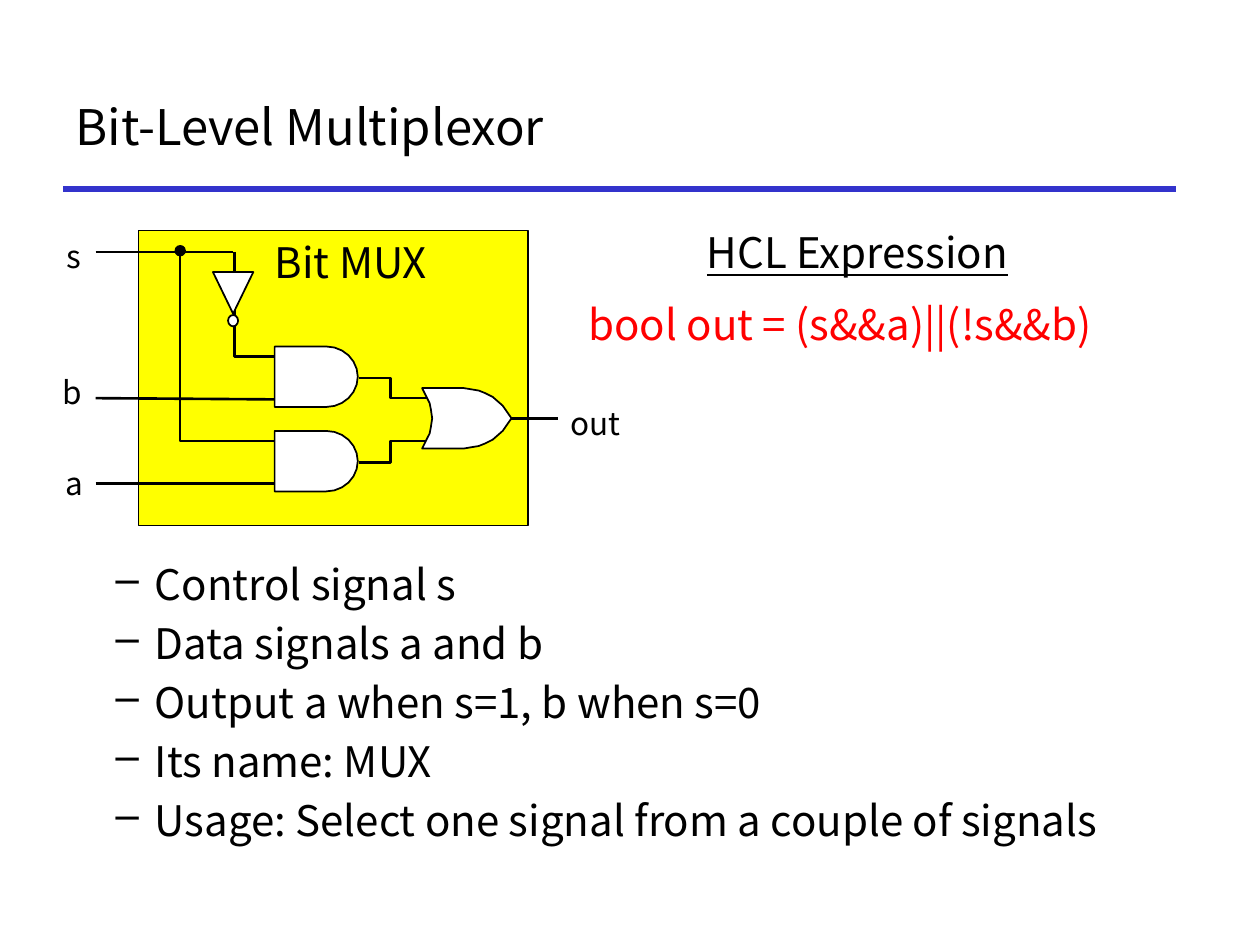
from dataclasses import dataclass
from math import cos, radians, sin

from lxml import etree
from pptx import Presentation
from pptx import util as u
from pptx.dml.color import RGBColor
from pptx.enum import shapes, text
from pptx.oxml import ns


@dataclass(frozen=True)
class Theme:
    """Colours, font and type sizes of the slide."""
    font: str = "Noto Sans CJK KR"
    black: str = "000000"
    white: str = "FFFFFF"
    yellow: str = "FFFF00"
    red: str = "FF0000"
    blue: str = "3333CC"
    title: int = 28
    body: int = 24
    label: int = 18


THEME = Theme()
BULLETS = [
    "Control signal s",
    "Data signals a and b",
    "Output a when s=1, b when s=0",
    "Its name: MUX",
    "Usage: Select one signal from a couple of signals",
]


def write(sp, lines, size=THEME.body, color=THEME.black, align="LEFT", anchor="TOP",
          left=0.1, right=0.1, wrap=True, underline=None, bullet=None):
    """Write one paragraph per line into a shape and format it."""
    tf = sp.text_frame
    tf.word_wrap = wrap
    tf.auto_size = text.MSO_AUTO_SIZE.NONE
    tf.vertical_anchor = text.MSO_ANCHOR[anchor]
    tf.margin_left, tf.margin_right = u.Inches(left), u.Inches(right)
    tf.margin_top = tf.margin_bottom = u.Inches(0.05)
    for i, line in enumerate(lines):
        p = tf.add_paragraph() if i else tf.paragraphs[0]
        p.alignment = text.PP_ALIGN[align]
        if bullet:
            p.space_before = u.Pt(5 if i else 0)
            add_bullet(p, bullet)
        r = p.add_run()
        r.text = line
        r.font.name, r.font.size = THEME.font, u.Pt(size)
        r.font.color.rgb = RGBColor.from_string(color)
        r.font.underline = underline


def add_bullet(p, char):
    """Give a paragraph a bullet character and a hanging indent."""
    pPr = p._p.get_or_add_pPr()
    pPr.set("marL", str(u.Inches(0.81)))
    pPr.set("indent", str(u.Inches(-0.31)))
    etree.SubElement(pPr, ns.qn("a:buChar")).set("char", char)


def add_text(s, x, y, w, h, lines, **fmt):
    """Add a text box."""
    sp = s.shapes.add_textbox(u.Inches(x), u.Inches(y), u.Inches(w), u.Inches(h))
    write(sp, lines, **fmt)
    return sp


def paint(sp, fill=None, width=1):
    """Set the fill and black outline of a shape, without a shadow."""
    sp.shadow.inherit = False
    if fill:
        sp.fill.solid()
        sp.fill.fore_color.rgb = RGBColor.from_string(fill)
    else:
        sp.fill.background()
    sp.line.color.rgb = RGBColor.from_string(THEME.black)
    sp.line.width = u.Pt(width)
    return sp


def add_preset(s, kind, x, y, w, h, fill, width=0.75):
    """Add a filled preset shape."""
    sp = s.shapes.add_shape(shapes.MSO_SHAPE[kind], u.Inches(x), u.Inches(y),
                            u.Inches(w), u.Inches(h))
    return paint(sp, fill, width)


def add_line(s, x1, y1, x2, y2, color=THEME.black, width=1.5):
    """Add a straight line."""
    c = s.shapes.add_connector(shapes.MSO_CONNECTOR.STRAIGHT, u.Inches(x1), u.Inches(y1),
                               u.Inches(x2), u.Inches(y2))
    c.line.color.rgb = RGBColor.from_string(color)
    c.line.width = u.Pt(width)
    etree.SubElement(c._element.spPr, ns.qn("a:effectLst"))


def add_path(s, points, fill=None, width=1.5, close=False):
    """Add a freeform through points given in inches."""
    pts = [(u.Inches(x), u.Inches(y)) for x, y in points]
    fb = s.shapes.build_freeform(*pts[0])
    fb.add_line_segments(pts[1:], close=close)
    return paint(fb.convert_to_shape(), fill, width)


def add_gate(s, points):
    """Add a closed white gate outline."""
    add_path(s, points, THEME.white, 1, close=True)


def add_and_gate(s, x, y):
    """Add an AND gate with its upper left corner at x, y."""
    arc = [(x + 0.41 + 0.25 * cos(radians(d)), y + 0.24 + 0.24 * sin(radians(d)))
           for d in range(-90, 91, 15)]
    add_gate(s, [(x, y), *arc, (x, y + 0.48)])


def add_or_gate(s, x, y):
    """Add an OR gate, mirrored about its horizontal axis."""
    top = [(0.08, 0.24), (0.07, 0.17), (0.06, 0.12), (0.03, 0.06), (0, 0), (0.33, 0),
           (0.39, 0.01), (0.45, 0.02), (0.5, 0.04), (0.56, 0.07), (0.64, 0.14), (0.71, 0.24)]
    bottom = [(dx, 0.48 - dy) for dx, dy in top[-2:0:-1]]
    add_gate(s, [(x + dx, y + dy) for dx, dy in top + bottom])


def add_inverter(s, x, y):
    """Add a downward inverter centred on x with its top at y."""
    add_gate(s, [(x + 0.16, y), (x - 0.16, y), (x, y + 0.33)])
    add_preset(s, "OVAL", x - 0.04, y + 0.34, 0.08, 0.09, THEME.white, 1)


def add_circuit(s):
    """Draw the multiplexor with its wires, gates and labels."""
    box = add_preset(s, "RECTANGLE", 1.1, 1.83, 3.09, 2.34, THEME.yellow)
    write(box, ["Bit MUX"], left=1.08)
    for wire in [(0.76, 2, 1.85, 2), (1.86, 2, 1.86, 2.58), (1.86, 2.5, 1.86, 2.66),
                 (2.01, 2.83, 2.18, 2.83), (0.76, 3.16, 2.18, 3.17), (2.01, 3.5, 2.18, 3.5),
                 (0.76, 3.84, 2.18, 3.84), (4, 3.32, 4.43, 3.32)]:
        add_line(s, *wire)
    for bend in [[(2.1, 2.83), (1.86, 2.83), (1.86, 2.66)],
                 [(2.01, 3.5), (1.43, 3.5), (1.43, 2)],
                 [(2.85, 3), (3.1, 3), (3.1, 3.16), (3.43, 3.16)],
                 [(2.85, 3.67), (3.1, 3.67), (3.1, 3.5), (3.43, 3.5)]]:
        add_path(s, bend)
    add_preset(s, "OVAL", 1.39, 1.95, 0.08, 0.08, THEME.black)
    add_inverter(s, 1.85, 2.16)
    for y in (2.75, 3.42):
        add_and_gate(s, 2.18, y)
    add_or_gate(s, 3.35, 3.08)
    for name, x, y, w, align in [("s", 0.43, 1.83, 0.31, "LEFT"), ("b", 0.39, 2.91, 0.36, "RIGHT"),
                                 ("a", 0.42, 3.63, 0.34, "RIGHT"), ("out", 4.43, 3.16, 0.66, "LEFT")]:
        add_text(s, x, y, w, 0.41, [name], size=THEME.label, align=align, wrap=False)


def add_title(s, title):
    """Place the title and the rule below it."""
    sp = s.shapes.title
    sp.left, sp.top, sp.width, sp.height = (u.Inches(v) for v in (0.5, 0.5, 8.83, 1))
    write(sp, [title], size=THEME.title, anchor="MIDDLE")
    add_line(s, 0.5, 1.5, 9.33, 1.5, THEME.blue, 3)


def main():
    """Build the slide and save it."""
    prs = Presentation()
    prs.slide_width, prs.slide_height = u.Inches(10), u.Inches(7.5)
    s = prs.slides.add_slide(prs.slide_layouts[5])
    add_title(s, "Bit-Level Multiplexor")
    add_text(s, 0.32, 4.38, 9.08, 2.29, BULLETS, bullet="–")
    add_circuit(s)
    add_text(s, 4.62, 2.32, 5.3, 0.51, ["bool out = (s&&a)||(!s&&b)"],
             color=THEME.red, left=0.05, right=0.05)
    add_text(s, 5.56, 1.75, 2.56, 0.51, ["HCL Expression"],
             left=0.05, right=0.05, underline=True)
    prs.save("out.pptx")


if __name__ == "__main__":
    main()
